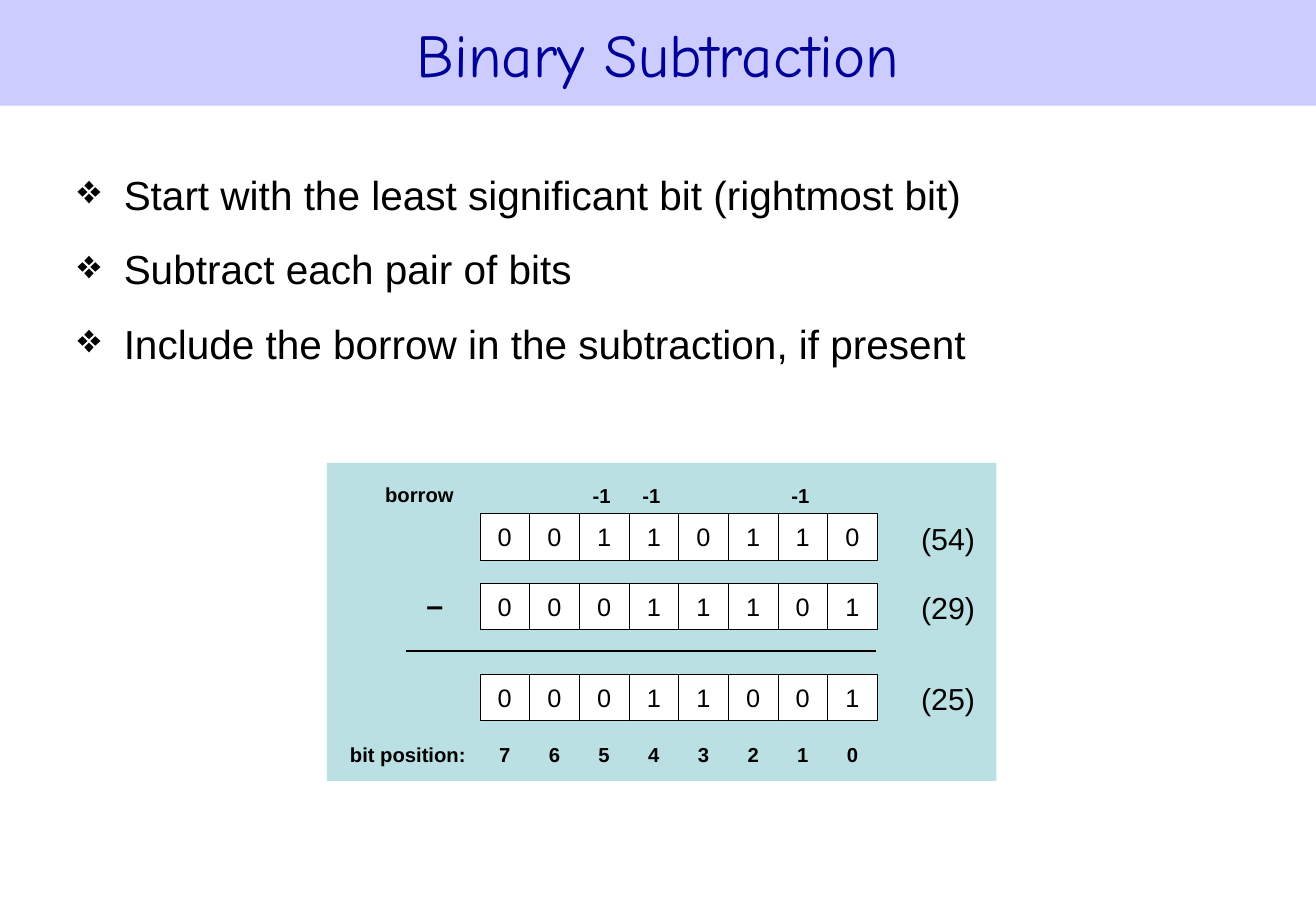
from pptx import Presentation
from pptx.dml.color import RGBColor
from pptx.enum.shapes import MSO_CONNECTOR, MSO_SHAPE
from pptx.enum.text import MSO_ANCHOR, PP_ALIGN
from pptx.oxml.ns import qn
from pptx.util import Pt
from lxml import etree

PX = 9144
LEFT, CENTER = PP_ALIGN.LEFT, PP_ALIGN.CENTER
MIDDLE, TOP = MSO_ANCHOR.MIDDLE, MSO_ANCHOR.TOP
RECTANGLE = MSO_SHAPE.RECTANGLE
STRAIGHT = MSO_CONNECTOR.STRAIGHT

BLACK = RGBColor(0x00, 0x00, 0x00)
WHITE = RGBColor(0xFF, 0xFF, 0xFF)
LAVENDER = RGBColor(0xCC, 0xCC, 0xFF)
NAVY = RGBColor(0x00, 0x00, 0x99)
TEAL = RGBColor(0xBB, 0xE0, 0xE3)

STEPS = [
    "Start with the least significant bit (rightmost bit)",
    "Subtract each pair of bits",
    "Include the borrow in the subtraction, if present",
]
BIT_ROWS = [
    (42, "00110110", "(54)"),
    (99, "00011101", "(29)"),
    (174, "00011001", "(25)"),
]
BORROW_COLUMNS = [2, 3, 6]


def emu(*lengths):
    return [round(length * PX) for length in lengths]


def style(para, size, color=BLACK, bold=False, align=LEFT, font="Arial"):
    para.alignment = align
    para.font.name = font
    para.font.size = Pt(size)
    para.font.bold = bold
    para.font.color.rgb = color


def fill_frame(frame, text, size, **options):
    frame.margin_left = frame.margin_right = 0
    frame.margin_top = frame.margin_bottom = 0
    frame.text = text
    style(frame.paragraphs[0], size, **options)


def add_label(page, box, text, size, **options):
    label = page.shapes.add_textbox(*emu(*box))
    label.text_frame.word_wrap = True
    fill_frame(label.text_frame, text, size, **options)


def add_rectangle(page, box, color):
    rectangle = page.shapes.add_shape(RECTANGLE, *emu(*box))
    rectangle.shadow.inherit = False
    rectangle.fill.solid()
    rectangle.fill.fore_color.rgb = color
    rectangle.line.fill.background()
    return rectangle


def add_title(page, box):
    title = page.shapes.title
    title.left, title.top, title.width, title.height = emu(*box)
    title.fill.solid()
    title.fill.fore_color.rgb = LAVENDER
    title.text_frame.text = "Binary Subtraction"
    title.text_frame.vertical_anchor = MIDDLE
    style(title.text_frame.paragraphs[0], 36, NAVY, align=CENTER, font="Comic Neue")


def add_steps(page, box):
    frame = page.shapes.add_textbox(*emu(*box)).text_frame
    frame.word_wrap = True
    frame.vertical_anchor = TOP
    indent = emu(38)[0]
    for index, step in enumerate(STEPS):
        para = frame.add_paragraph() if index else frame.paragraphs[0]
        para.text = step
        if index:
            para.space_before = Pt(15.4)
        properties = para._p.get_or_add_pPr()
        properties.set("marL", str(indent))
        properties.set("indent", str(-indent))
        etree.SubElement(properties, qn("a:buChar"), char="❖")
        style(para, 24)


def add_bit_row(page, box, bits):
    left, top, width, height = box
    cell_width = width / len(bits)
    for column, bit in enumerate(bits):
        cell_box = (left + column * cell_width, top, cell_width, height)
        cell = add_rectangle(page, cell_box, WHITE)
        cell.line.color.rgb = BLACK
        cell.line.width = Pt(0.38)
        cell.text_frame.vertical_anchor = MIDDLE
        fill_frame(cell.text_frame, bit, 15, align=CENTER)


def add_rule(page, left, top, width):
    rule = page.shapes.add_connector(STRAIGHT, *emu(left, top, left + width, top))
    rule.line.color.rgb = BLACK
    rule.line.width = Pt(1.13)
    etree.SubElement(rule._element.spPr, qn("a:effectLst"))


def add_subtraction(page, box):
    left, top, width, height = box
    add_rectangle(page, box, TEAL)
    bits_left, bits_width, columns = left + 126, 327, 8
    pitch = bits_width / columns

    for offset, bits, value in BIT_ROWS:
        add_bit_row(page, (bits_left, top + offset, bits_width, 38), bits)
        add_label(page, (left + 489, top + offset + 5, 50, 30), value, 18)

    add_label(page, (left + 82, top + 102, 20, 30), "–", 18, bold=True)
    add_rule(page, left + 65, top + 155, 387)

    add_label(page, (left + 48, top + 16, 73, 20), "borrow", 12, bold=True)
    for column in BORROW_COLUMNS:
        borrow_box = (bits_left + column * pitch - 2, top + 17, pitch, 20)
        add_label(page, borrow_box, "-1", 12, bold=True, align=CENTER)

    add_label(page, (left + 19, top + 230, 105, 20), "bit position:", 12, bold=True)
    for column in range(columns):
        position_box = (bits_left + column * pitch, top + 230, pitch, 20)
        position = str(columns - 1 - column)
        add_label(page, position_box, position, 12, bold=True, align=CENTER)


def main():
    deck = Presentation()
    deck.slide_width, deck.slide_height = emu(1083, 750)
    page = deck.slides.add_slide(deck.slide_layouts[5])
    add_title(page, (0, 0, 1083, 87))
    add_steps(page, (54, 135, 975, 206))
    add_subtraction(page, (269, 381, 551, 262))
    deck.save("out.pptx")


if __name__ == "__main__":
    main()
